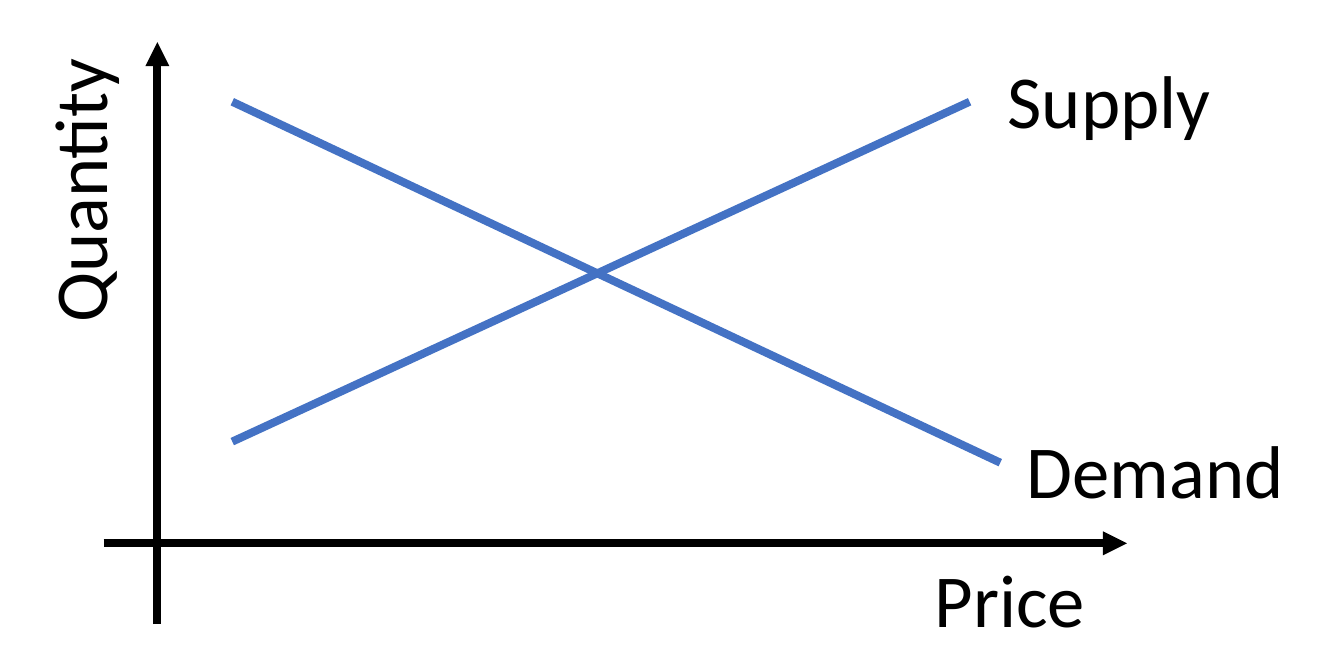
from lxml import etree
from pptx import Presentation
from pptx.dml.color import RGBColor
from pptx.enum import shapes, text
from pptx.oxml import ns
from pptx.util import Inches, Pt

BLACK = RGBColor(0x00, 0x00, 0x00)
BLUE = RGBColor(0x44, 0x72, 0xC4)


class Diagram:
    font = "Calibri"
    size = Pt(28)
    weight = Pt(3)
    label_height = 0.57

    def __init__(self, slide):
        self.s = slide

    def line(self, start, end, color):
        ends = [Inches(v) for v in (*start, *end)]
        c = self.s.shapes.add_connector(shapes.MSO_CONNECTOR.STRAIGHT, *ends)
        c.line.color.rgb = color
        c.line.width = self.weight
        etree.SubElement(c._element.spPr, ns.qn("a:effectLst"))
        return c

    def axis(self, start, end):
        c = self.line(start, end, BLACK)
        etree.SubElement(c.line._get_or_add_ln(), ns.qn("a:tailEnd"), type="triangle")

    def label(self, words, left, top, width, rotation=0):
        sp = self.s.shapes.add_textbox(
            Inches(left), Inches(top), Inches(width), Inches(self.label_height))
        sp.rotation = rotation
        tf = sp.text_frame
        tf.word_wrap = False
        tf.auto_size = text.MSO_AUTO_SIZE.SHAPE_TO_FIT_TEXT
        p = tf.paragraphs[0]
        p.text = words
        p.font.name = self.font
        p.font.size = self.size
        p.font.color.rgb = BLACK


def main():
    prs = Presentation()
    prs.slide_width, prs.slide_height = Inches(7), Inches(3.5)
    d = Diagram(prs.slides.add_slide(prs.slide_layouts[6]))

    d.axis((0.54, 2.83), (5.87, 2.83))
    d.axis((0.82, 3.25), (0.82, 0.22))
    d.line((1.21, 0.53), (5.21, 2.41), BLUE)
    d.line((1.21, 2.3), (5.05, 0.53), BLUE)

    d.label("Supply", 5.15, 0.23, 1.27)
    d.label("Demand", 5.25, 2.16, 1.55)
    d.label("Quantity", -0.39, 0.7, 1.59, rotation=270)
    d.label("Price", 4.77, 2.83, 0.99)

    prs.save("out.pptx")


if __name__ == "__main__":
    main()
